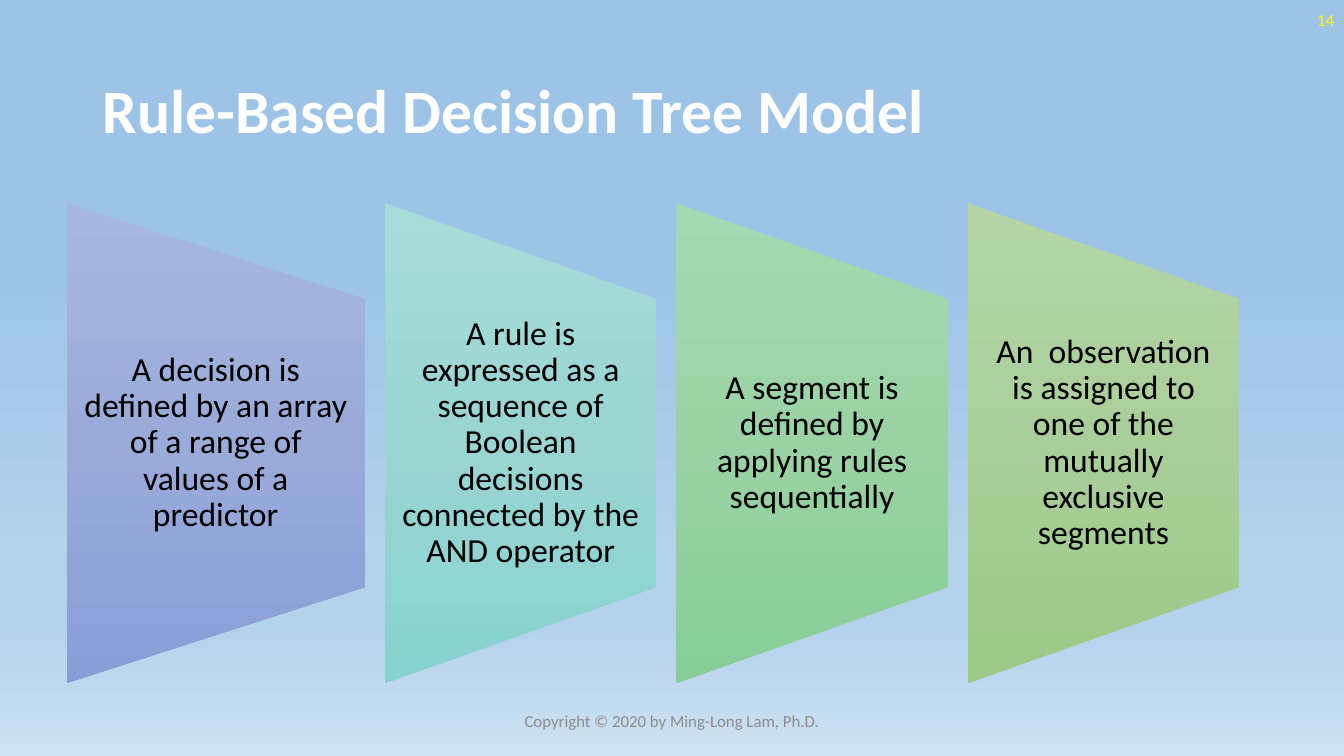
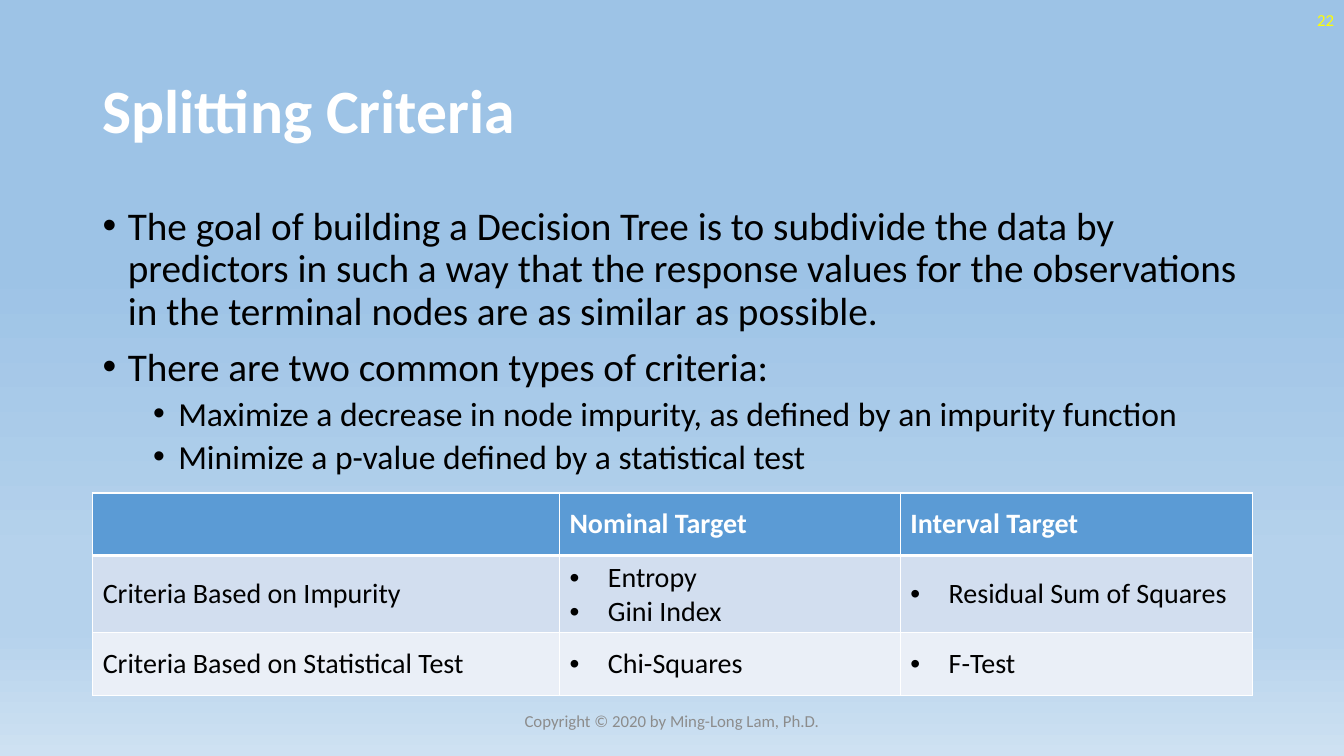
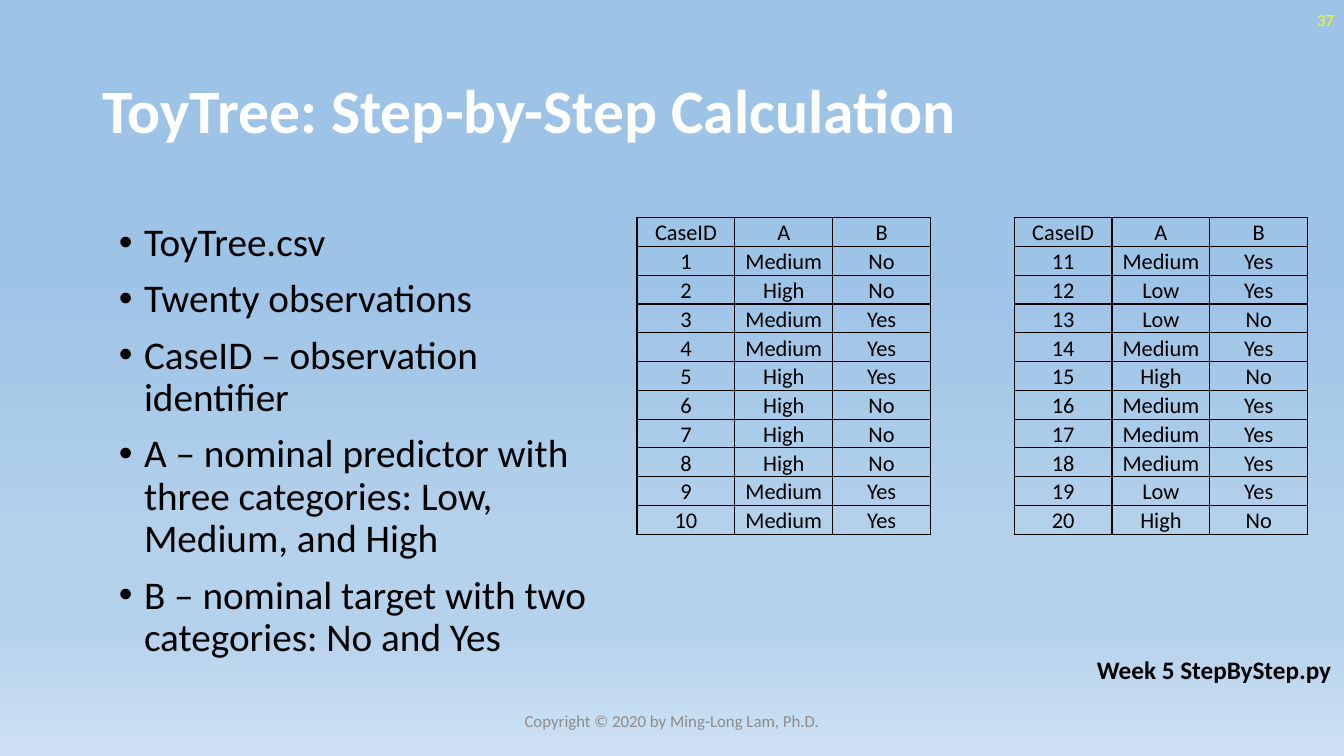
"""Build three slides on decision trees."""
from lxml.etree import SubElement
from pptx import Presentation
from pptx.dml.color import RGBColor
from pptx.enum.shapes import MSO_SHAPE
from pptx.enum.text import MSO_ANCHOR, MSO_AUTO_SIZE, PP_ALIGN
from pptx.oxml.ns import qn
from pptx.util import Inches, Pt

TRAP = MSO_SHAPE.FLOWCHART_MANUAL_OPERATION
TOP, MIDDLE, BOTTOM = MSO_ANCHOR.TOP, MSO_ANCHOR.MIDDLE, MSO_ANCHOR.BOTTOM
LEFT, CENTER, RIGHT = PP_ALIGN.LEFT, PP_ALIGN.CENTER, PP_ALIGN.RIGHT
FIT = MSO_AUTO_SIZE.SHAPE_TO_FIT_TEXT

WIDE, HIGH = Inches(13.33), Inches(7.5)
FONT = "Calibri"
EDGE, SPAN = 6.9, 86.27

BLACK = RGBColor(0x00, 0x00, 0x00)
WHITE = RGBColor(0xFF, 0xFF, 0xFF)
GRAY = RGBColor(0x8C, 0x8C, 0x8C)
YELLOW = RGBColor(0xFF, 0xFF, 0x00)
BLUE = RGBColor(0x5B, 0x9B, 0xD5)
BAND = RGBColor(0xD2, 0xDE, 0xEF)
PALE = RGBColor(0xEA, 0xEF, 0xF7)
HAZE = RGBColor(0xB5, 0xD2, 0xEC)
SKY = [(35, RGBColor(0x9D, 0xC3, 0xE6)), (74, HAZE), (83, HAZE),
       (100, RGBColor(0xCE, 0xE1, 0xF2))]
TINTS = [
    (RGBColor(0xA8, 0xB7, 0xDF), RGBColor(0x9A, 0xAB, 0xD9), RGBColor(0x88, 0x9E, 0xD7)),
    (RGBColor(0xA8, 0xDC, 0xD9), RGBColor(0x9A, 0xD5, 0xD2), RGBColor(0x87, 0xD3, 0xCF)),
    (RGBColor(0xA7, 0xD8, 0xB1), RGBColor(0x9A, 0xD2, 0xA5), RGBColor(0x87, 0xCE, 0x96)),
    (RGBColor(0xB5, 0xD5, 0xA7), RGBColor(0xAA, 0xCE, 0x9A), RGBColor(0x9C, 0xC9, 0x87)),
]

RULES = [
    "A decision is defined by an array of a range of values of a predictor",
    "A rule is expressed as a sequence of Boolean decisions connected by the AND operator",
    "A segment is defined by applying rules sequentially",
    "An  observation is assigned to one of the mutually exclusive segments",
]
GOALS = [
    (0, "The goal of building a Decision Tree is to subdivide the data by predictors in such "
        "a way that the response values for the observations in the terminal nodes are as "
        "similar as possible."),
    (0, "There are two common types of criteria:"),
    (1, "Maximize a decrease in node impurity, as defined by an impurity function"),
    (1, "Minimize a p-value defined by a statistical test"),
]
TESTS = [
    ["", "Nominal Target", "Interval Target"],
    ["Criteria Based on Impurity", "Entropy\nGini Index", "Residual Sum of Squares"],
    ["Criteria Based on Statistical Test", "Chi-Squares", "F-Test"],
]
FACTS = [
    (0, "ToyTree.csv"),
    (0, "Twenty observations"),
    (0, "CaseID – observation identifier"),
    (0, "A – nominal predictor with three categories: Low, Medium, and High"),
    (0, "B – nominal target with two categories: No and Yes"),
]
HEAD = ["CaseID", "A", "B"]
A = ("Medium High Medium Medium High High High High Medium Medium "
     "Medium Low Low Medium High Medium Medium Medium Low High").split()
B = ("No No Yes Yes Yes No No No Yes Yes "
     "Yes Yes No Yes No Yes Yes Yes Yes No").split()


def area(x, y, w, h):
    """Turn percent shares of the slide into lengths."""
    return [int(part * full / 100)
            for part, full in zip((x, y, w, h), (WIDE, HIGH, WIDE, HIGH))]


def shade(fill, root, stops):
    """Fill with a downward gradient that stays upright."""
    fill.gradient()
    fill.gradient_angle = 270
    row = root.xpath(".//a:gsLst")[0]
    row.getparent().set("rotWithShape", "0")
    for old in list(row):
        row.remove(old)
    for pos, color in stops:
        stop = SubElement(row, qn("a:gs"), pos=str(pos * 1000))
        SubElement(stop, qn("a:srgbClr"), val=str(color))


def style(para, size, color=BLACK, bold=False, align=LEFT, line=None):
    """Format a paragraph and its runs."""
    para.alignment = align
    if line:
        para.line_spacing = line
    for run in para.runs:
        font = run.font
        font.name, font.size, font.bold = FONT, Pt(size), bold
        font.color.rgb = color


def mark(para, left, hang):
    """Put a bullet before a paragraph."""
    props = para._p.get_or_add_pPr()
    props.set("marL", str(Inches(left)))
    props.set("indent", str(-Inches(hang)))
    SubElement(props, qn("a:buFont"), typeface="Arial")
    SubElement(props, qn("a:buChar"), char="•")


def write(slide, box, text, size, color=BLACK, bold=False, align=LEFT,
          anchor=MIDDLE, line=None):
    """Add a text box and return its frame."""
    frame = slide.shapes.add_textbox(*area(*box)).text_frame
    frame.word_wrap = True
    frame.vertical_anchor = anchor
    frame.text = text
    for para in frame.paragraphs:
        style(para, size, color, bold, align, line)
    return frame


def list_up(slide, box, items):
    """Add a bulleted list with two levels."""
    text = "\n".join(item for _, item in items)
    frame = write(slide, box, text, 28, anchor=TOP, line=0.9)
    for spot, (para, (level, _)) in enumerate(zip(frame.paragraphs, items)):
        para.level = level
        mark(para, 0.25 + 0.5 * level, 0.25)
        style(para, 28 - 4 * level, line=0.9)
        if spot:
            para.space_before = Pt(10 - 5 * level)


def rim(cell, color, **widths):
    """Draw cell borders; a width of zero hides a side."""
    props = cell._tc.get_or_add_tcPr()
    for side in "LRTB":
        width = widths.get(side, 1)
        line = SubElement(props, qn(f"a:ln{side}"), w=str(Pt(width)))
        if width:
            fill = SubElement(line, qn("a:solidFill"))
            SubElement(fill, qn("a:srgbClr"), val=str(color))
        else:
            SubElement(line, qn("a:noFill"))


def fill_in(cell, text, size, anchor, **look):
    """Write text in a cell."""
    cell.text_frame.text = text
    cell.vertical_anchor = anchor
    for para in cell.text_frame.paragraphs:
        style(para, size, **look)
        if not text:
            SubElement(para._p, qn("a:endParaRPr"), sz=str(size * 100))


def grid(slide, x, y, cols, rows):
    """Add a plain table from shares of the slide."""
    box = area(x, y, sum(cols), sum(rows))
    table = slide.shapes.add_table(len(rows), len(cols), *box).table
    table.first_row = table.horz_banding = False
    for col, share in zip(table.columns, cols):
        col.width = int(share * WIDE / 100)
    for row, share in zip(table.rows, rows):
        row.height = int(share * HIGH / 100)
    return table


def start(deck, title, number):
    """Add a slide with title, footer and number."""
    slide = deck.slides.add_slide(deck.slide_layouts[6])
    write(slide, (EDGE, 5.33, SPAN, 19.33), title, 44, WHITE, True, line=0.9)
    write(slide, (33.12, 92.67, 33.75, 5.33), "Copyright © 2020 by Ming-Long Lam, Ph.D.",
          12, GRAY, align=CENTER)
    write(slide, (77.5, 0, 22.5, 5.33), str(number), 12, YELLOW, align=RIGHT)
    return slide


def panel(slide, x, wide, tints, text):
    """Add a trapezoid turned on its side with text over it."""
    mid, tall, inner = 58.6, 63.47, 38.13
    left, top, w, h = area(x, mid - tall / 2, wide, tall)
    shape = slide.shapes.add_shape(TRAP, left + (w - h) // 2, top + (h - w) // 2, h, w)
    shape.rotation = 270
    shape.shadow.inherit = False
    shape.line.fill.background()
    shade(shape.fill, shape.element, zip((0, 50, 100), tints))
    frame = write(slide, (x, mid - inner / 2, wide, inner), text, 24,
                  align=CENTER, line=0.9)
    frame.margin_left = frame.margin_right = Inches(0.17)
    frame.margin_top = frame.margin_bottom = 0


def rules(deck):
    """Build the slide with four panels."""
    slide = start(deck, "Rule-Based Decision Tree Model", 14)
    x = 4.95
    for wide, tints, text in zip((22.2, 20.18, 20.18, 20.18), TINTS, RULES):
        panel(slide, x, wide, tints, text)
        x += wide + 1.5


def tests(deck):
    """Build the slide with the table of criteria."""
    slide = start(deck, "Splitting Criteria", 22)
    list_up(slide, (EDGE, 26.67, SPAN, 63.47), GOALS)
    table = grid(slide, EDGE, 65.2, (34.73, 25.36, 26.18), (8.27, 9.07, 8.27))
    for r, (texts, back) in enumerate(zip(TESTS, (BLUE, BAND, PALE))):
        for c, text in enumerate(texts):
            cell = table.cell(r, c)
            rim(cell, WHITE, B=1 if r else 3, T=3 if r == 1 else 1)
            cell.fill.solid()
            cell.fill.fore_color.rgb = back
            fill_in(cell, text, 20, MIDDLE, color=BLACK if r else WHITE, bold=not r)
            if r and c:
                for para in cell.text_frame.paragraphs:
                    mark(para, 0.38, 0.38)


def cases(deck):
    """Build the slide with the twenty observations."""
    slide = start(deck, "ToyTree: Step-by-Step Calculation", 37)
    side = [7.28] * 3
    table = grid(slide, 47.4, 28.8, side + [6.23] + side, [3.6] * 11)
    data = [[str(n), a, b] for n, (a, b) in enumerate(zip(A, B), 1)]
    lines = [HEAD + [""] + HEAD]
    lines += [one + [""] + two for one, two in zip(data[:10], data[10:])]
    for r, texts in enumerate(lines):
        for c, text in enumerate(texts):
            cell = table.cell(r, c)
            edge = 1 if text else 0
            rim(cell, BLACK, T=edge, B=edge)
            cell.fill.background()
            cell.margin_left = cell.margin_right = Inches(0.07)
            cell.margin_top = cell.margin_bottom = 0
            fill_in(cell, text, 16, BOTTOM, align=CENTER, line=1.07)
    list_up(slide, (8.1, 28.8, 37.73, 63.47), FACTS)
    frame = write(slide, (80.87, 85.87, 19.13, 5.33), "Week 5 StepByStep.py", 18,
                  bold=True, anchor=TOP)
    frame.word_wrap = False
    frame.auto_size = FIT


def main():
    """Build and save the deck."""
    deck = Presentation()
    deck.slide_width, deck.slide_height = WIDE, HIGH
    master = deck.slide_master
    shade(master.background.fill, master.element, SKY)
    rules(deck)
    tests(deck)
    cases(deck)
    deck.save("out.pptx")


if __name__ == "__main__":
    main()
